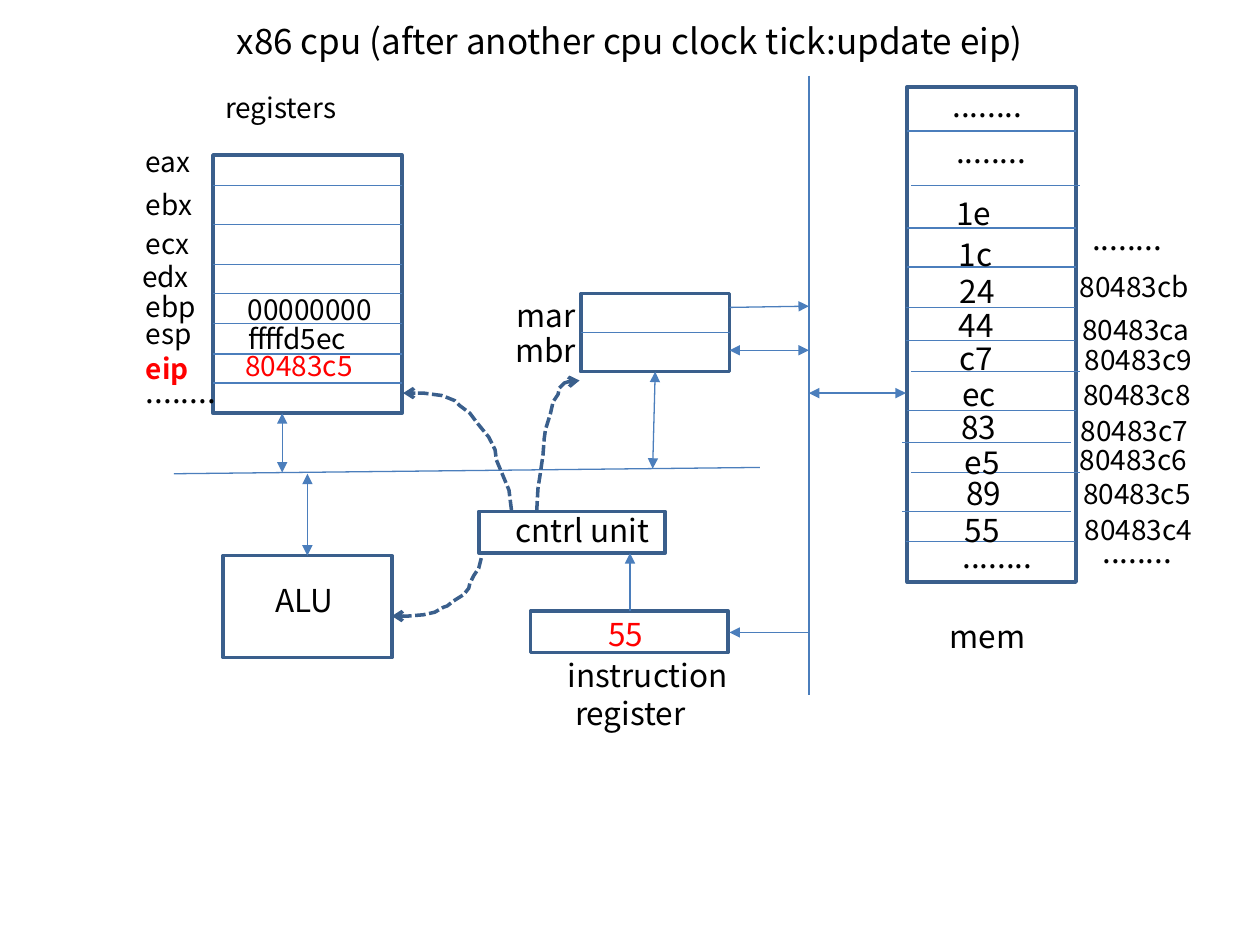
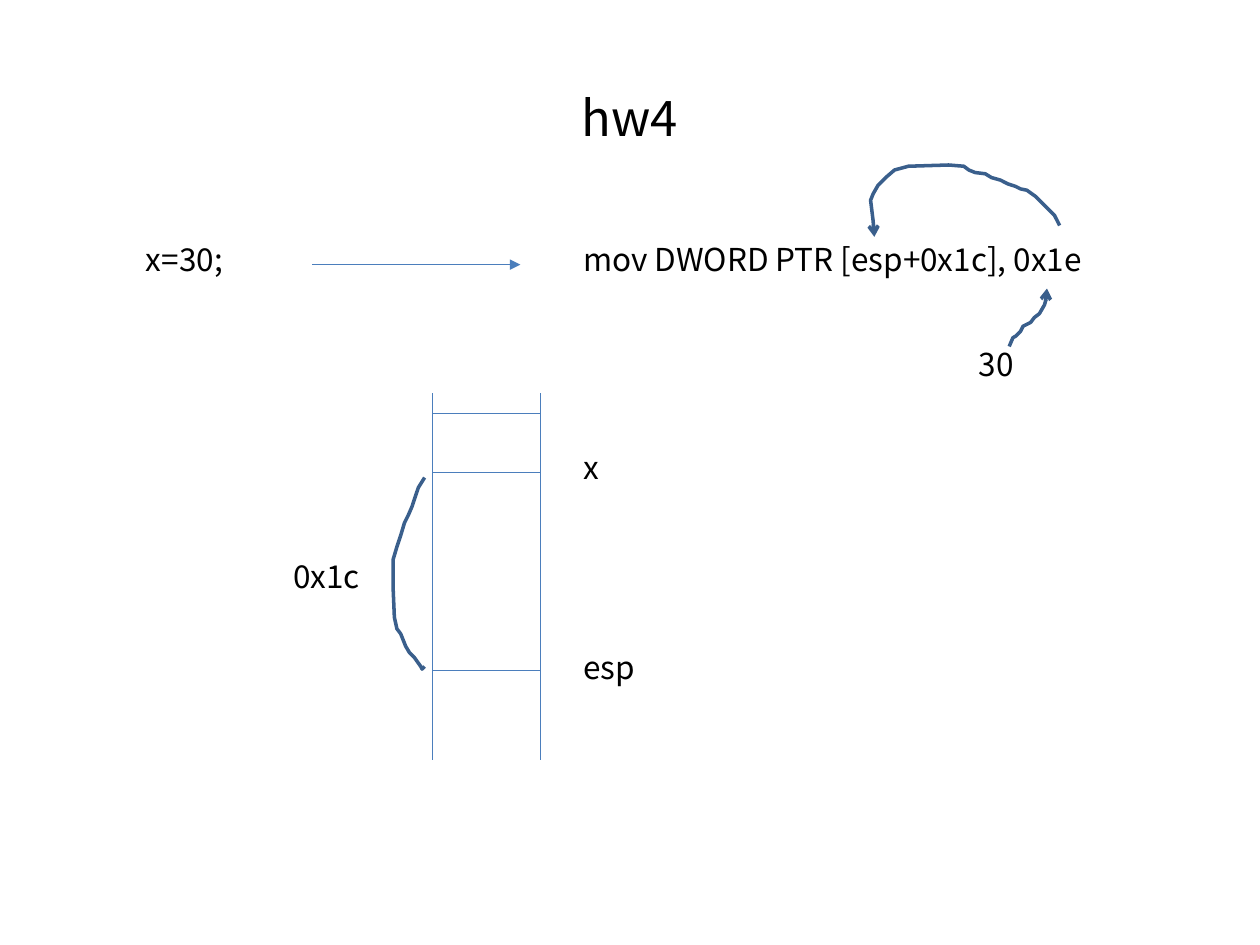
from lxml.etree import SubElement
from pptx import Presentation
from pptx.dml.color import RGBColor
from pptx.enum.dml import MSO_LINE as Dash
from pptx.enum.shapes import MSO_CONNECTOR as Conn, MSO_SHAPE as Shape
from pptx.enum.text import MSO_ANCHOR as Anchor, MSO_AUTO_SIZE as Fit, PP_ALIGN as Align
from pptx.oxml.ns import qn
from pptx.util import Inches, Pt

FONT = "Noto Sans CJK KR"
BLACK, RED, WHITE = "000000", "FF0000", "FFFFFF"
THIN, DARK = "4B7EBC", "3A5F8C"
DOTS = "........"
rgb = RGBColor.from_string


def write(slide, text, x, y, w, h, size=18, color=BLACK, bold=False, title=False):
    box = slide.shapes.add_textbox(Inches(x), Inches(y), Inches(w), Inches(h))
    frame = box.text_frame
    frame.word_wrap = True
    frame.auto_size = Fit.NONE if title else Fit.SHAPE_TO_FIT_TEXT
    frame.vertical_anchor = Anchor.MIDDLE if title else Anchor.TOP
    for i, part in enumerate(text.split("\n")):
        para = frame.add_paragraph() if i else frame.paragraphs[0]
        para.alignment = Align.CENTER if title else Align.LEFT
        run = para.add_run()
        run.text = part
        font = run.font
        font.name, font.size, font.bold = FONT, Pt(size), bold
        font.color.rgb = rgb(color)


def draw(slide, points, ends=(), dash=None):
    spots = [(Inches(x), Inches(y)) for x, y in points]
    curved = len(spots) > 2
    if curved:
        pen = slide.shapes.build_freeform(*spots[0])
        pen.add_line_segments(spots[1:], close=False)
        item = pen.convert_to_shape()
        item.fill.background()
        item.shadow.inherit = False
    else:
        item = slide.shapes.add_connector(Conn.STRAIGHT, *spots[0], *spots[1])
    line = item.line
    line.color.rgb = rgb(DARK if curved else THIN)
    line.width = Pt(2 if curved else 0.75)
    if dash:
        line.dash_style = dash
    props = item.element.spPr
    for end in ends:
        SubElement(props.find(qn("a:ln")), qn("a:" + end), type="arrow" if curved else "triangle")
    if not curved:
        SubElement(props, qn("a:effectLst"))


TAIL = ("tailEnd",)
BOTH = ("headEnd", "tailEnd")

deck = Presentation()
deck.slide_width, deck.slide_height = Inches(10), Inches(7.5)
blank = deck.slide_layouts[6]

cpu = deck.slides.add_slide(blank)
write(cpu, "x86 cpu (after another cpu clock tick:update eip)", 0.5, -0.06, 9, 0.77, 20, title=True)

for x, y, w, h in [
    (1.69, 1.23, 1.5, 2.05),
    (7.2, 0.69, 1.34, 3.93),
    (1.77, 4.41, 1.34, 0.81),
    (4.61, 2.33, 1.18, 0.62),
    (3.8, 4.06, 1.48, 0.33),
    (4.21, 4.85, 1.57, 0.33),
]:
    box = cpu.shapes.add_shape(Shape.RECTANGLE, Inches(x), Inches(y), Inches(w), Inches(h))
    box.shadow.inherit = False
    box.fill.solid()
    box.fill.fore_color.rgb = rgb(WHITE)
    box.line.color.rgb = rgb(DARK)
    box.line.width = Pt(2)

for y in (1.47, 1.78, 2.1, 2.33, 2.57, 2.81, 3.04):
    draw(cpu, [(1.69, y), (3.19, y)])
for x, y in [
    (7.2, 1.04), (7.23, 1.47), (7.2, 1.81), (7.2, 2.12), (7.19, 2.44), (7.19, 2.7),
    (7.23, 2.95), (7.2, 3.26), (7.16, 3.51), (7.23, 3.75), (7.16, 4.06), (7.19, 4.3),
]:
    draw(cpu, [(x, y), (x + 1.34, y)])

for start, stop, ends in [
    ((1.38, 3.76), (6.03, 3.71), ()),
    ((6.42, 0.6), (6.42, 5.52), ()),
    ((4.61, 2.64), (5.79, 2.64), ()),
    ((6.42, 5.02), (5.79, 5.02), TAIL),
    ((5, 4.85), (5, 4.39), TAIL),
    ((5.79, 2.44), (6.42, 2.43), TAIL),
    ((6.42, 3.12), (7.19, 3.12), BOTH),
    ((5.79, 2.78), (6.42, 2.78), BOTH),
    ((2.44, 3.76), (2.44, 4.41), BOTH),
    ((2.24, 3.28), (2.24, 3.75), BOTH),
    ((5.2, 2.95), (5.18, 3.72), BOTH),
]:
    draw(cpu, [start, stop], ends)

for name, x, y in [
    ("eax", 1.06, 1.1), ("ebx", 1.06, 1.44), ("ecx", 1.06, 1.75),
    ("edx", 1.03, 2.01), ("ebp", 1.06, 2.25), ("esp", 1.06, 2.46),
]:
    write(cpu, name, x, y, 0.79, 0.37, 16)
write(cpu, "eip", 1.06, 2.74, 0.79, 0.37, 16, RED, True)
write(cpu, "registers", 1.69, 0.67, 1.18, 0.37, 16)
write(cpu, "00000000", 1.87, 2.27, 1.23, 0.37, 16)
write(cpu, "ffffd5ec", 1.87, 2.5, 1.18, 0.37, 16)
write(cpu, "80483c5", 1.85, 2.72, 1.18, 0.37, 16, RED)

for x, y in [(1.06, 2.9), (7.46, 0.63), (7.49, 1), (7.54, 4.21), (8.57, 1.69), (8.65, 4.17)]:
    write(cpu, DOTS, x, y, 0.79, 0.4)

for byte, x, y in [
    ("1e", 7.49, 1.49), ("1c", 7.51, 1.82), ("24", 7.52, 2.11), ("44", 7.51, 2.38),
    ("c7", 7.52, 2.64), ("ec", 7.54, 2.93), ("83", 7.53, 3.19), ("e5", 7.56, 3.47),
    ("89", 7.57, 3.71), ("55", 7.56, 4.01),
]:
    write(cpu, byte, x, y, 0.55, 0.4)

for digit, x, y in [
    ("b", 8.47, 2.09), ("a", 8.49, 2.43), ("9", 8.51, 2.67), ("8", 8.5, 2.95),
    ("7", 8.48, 3.23), ("6", 8.47, 3.46), ("5", 8.5, 3.73), ("4", 8.51, 4.02),
]:
    write(cpu, "80483c" + digit, x, y, 1.18, 0.37, 16)

for text, x, y, w in [
    ("mem", 7.44, 4.85, 1.06),
    ("ALU", 2.09, 4.56, 0.79),
    ("cntrl unit", 3.99, 4.01, 1.31),
    ("mbr", 3.99, 2.58, 0.79),
    ("mar", 4, 2.3, 0.79),
]:
    write(cpu, text, x, y, w, 0.4)
write(cpu, "instruction\n register", 4.41, 5.16, 1.57, 0.71)
write(cpu, "55", 4.73, 4.83, 0.55, 0.4, color=RED)

to_alu = [
    (3.82, 4.43), (3.8, 4.51), (3.76, 4.57), (3.73, 4.63), (3.72, 4.67), (3.68, 4.72),
    (3.6, 4.77), (3.55, 4.81), (3.52, 4.82), (3.45, 4.86), (3.36, 4.88), (3.24, 4.89), (3.11, 4.89),
]
to_regs = [
    (4.06, 4.05), (4.04, 3.89), (3.99, 3.77), (3.94, 3.65), (3.93, 3.57), (3.91, 3.53),
    (3.88, 3.47), (3.79, 3.36), (3.73, 3.28), (3.65, 3.22), (3.61, 3.18), (3.51, 3.14),
    (3.36, 3.12), (3.2, 3.12),
]
to_mar = [
    (4.26, 4.06), (4.27, 3.88), (4.29, 3.75), (4.31, 3.61), (4.32, 3.48), (4.33, 3.41),
    (4.37, 3.28), (4.39, 3.19), (4.43, 3.13), (4.44, 3.08), (4.48, 3.04), (4.54, 3.02), (4.6, 3.02),
]
for curve in (to_alu, to_regs, to_mar):
    draw(cpu, curve, TAIL, Dash.SQUARE_DOT)

work = deck.slides.add_slide(blank)
write(work, "hw4", 0.5, 0.3, 9, 1.25, 28, title=True)

draw(work, [(2.48, 2.1), (4.13, 2.1)], TAIL)
for x in (3.43, 4.29):
    draw(work, [(x, 3.12), (x, 6.03)])
for y in (3.28, 3.75, 5.32):
    draw(work, [(3.43, y), (4.29, y)])

for text, x, y, w in [
    ("x=30;", 1.06, 1.86, 1.02),
    ("mov DWORD PTR [esp+0x1c], 0x1e", 4.53, 1.86, 4.41),
    ("30", 7.67, 2.69, 0.71),
    ("x", 4.53, 3.51, 0.47),
    ("0x1c", 2.23, 4.37, 0.79),
    ("esp", 4.53, 5.09, 0.63),
]:
    write(work, text, x, y, w, 0.4)

brace = [
    (3.37, 3.79), (3.32, 3.87), (3.29, 3.96), (3.27, 4.02), (3.24, 4.09), (3.21, 4.15),
    (3.18, 4.25), (3.15, 4.34), (3.12, 4.44), (3.12, 4.67), (3.13, 4.9), (3.15, 4.99),
    (3.18, 5.03), (3.22, 5.13), (3.25, 5.18), (3.29, 5.22), (3.34, 5.29), (3.35, 5.31), (3.37, 5.29),
]
value = [
    (8.01, 2.75), (8.04, 2.68), (8.06, 2.67), (8.1, 2.63), (8.12, 2.59), (8.18, 2.56),
    (8.21, 2.52), (8.25, 2.49), (8.29, 2.42), (8.31, 2.35), (8.31, 2.29),
]
store = [
    (8.41, 1.79), (8.37, 1.71), (8.28, 1.62), (8.22, 1.56), (8.15, 1.51), (8.1, 1.5),
    (8.06, 1.48), (8, 1.46), (7.94, 1.43), (7.87, 1.41), (7.82, 1.38), (7.74, 1.37),
    (7.69, 1.35), (7.65, 1.32), (7.53, 1.31), (7.21, 1.32), (7.1, 1.35), (7.03, 1.41),
    (6.97, 1.47), (6.93, 1.54), (6.91, 1.59), (6.93, 1.75), (6.94, 1.88),
]
for curve, ends in [(brace, ()), (value, TAIL), (store, TAIL)]:
    draw(work, curve, ends)

deck.save("out.pptx")
